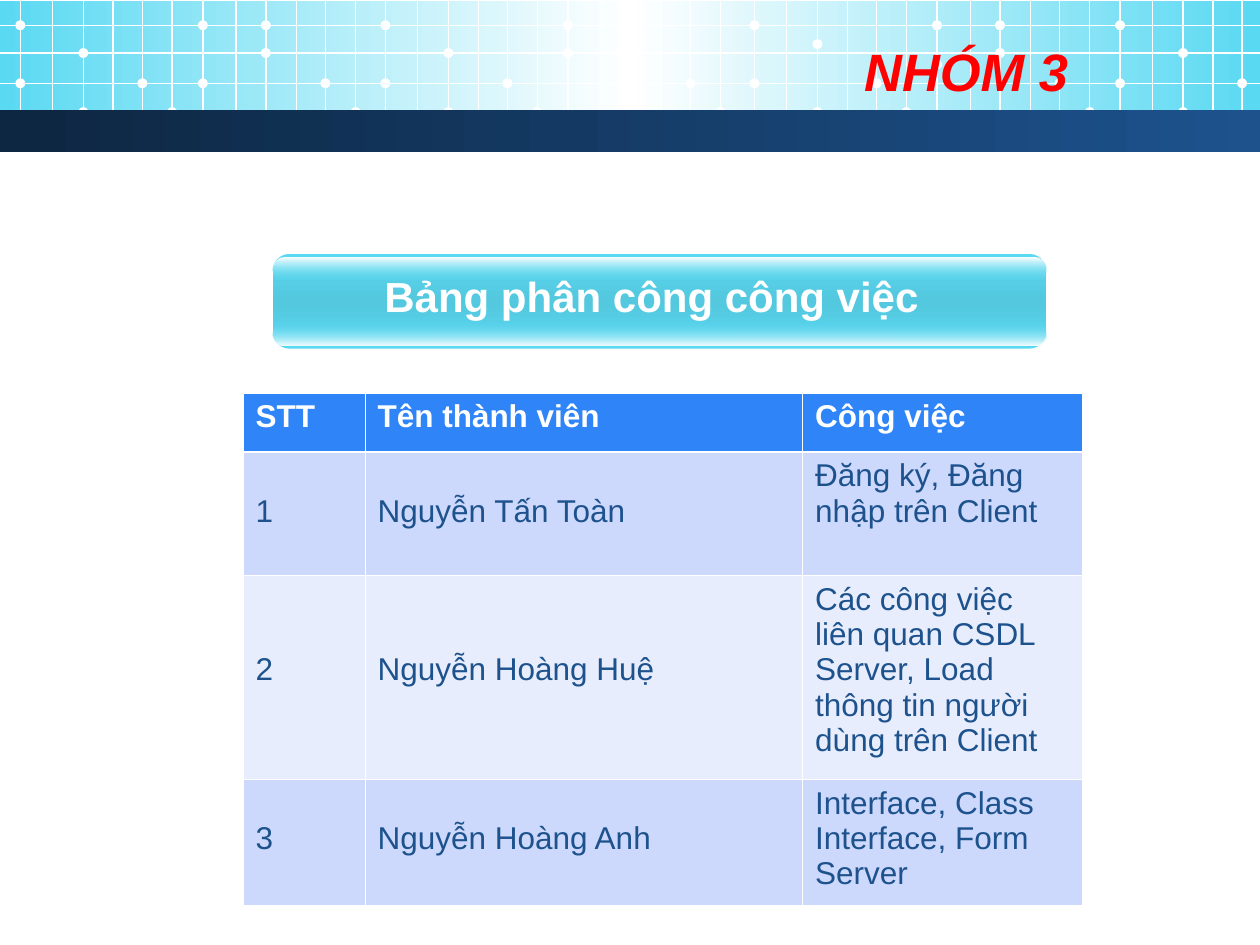
from lxml import etree
from pptx import Presentation
from pptx import util as u
from pptx.dml.color import RGBColor
from pptx.enum import shapes, text
from pptx.oxml.ns import qn

WIDTH, HEIGHT = 25.4, 19.05  # all lengths are in centimetres

WHITE, CYAN, TEAL = "FFFFFF", "5AD9F2", "53C8DF"
NAVY, BLUE, RED = "0D2641", "1D528D", "FF0000"
HEADER, BAND, PALE = "2F85F7", "CDD9FC", "E8EDFD"
ACROSS, DOWN = 0, 90  # gradient directions

MEMBERS = [
    ("STT", "Tên thành viên", "Công việc"),
    ("1", "Nguyễn Tấn Toàn", "Đăng ký, Đăng nhập trên Client"),
    ("2", "Nguyễn Hoàng Huệ", "Các công việc liên quan CSDL Server, "
     "Load thông tin người dùng trên Client"),
    ("3", "Nguyễn Hoàng Anh", "Interface, Class Interface, Form Server"),
]


def rgb(value):
    return RGBColor.from_string(value)


def add_color(parent, color, alpha=100):
    """Append an a:srgbClr, with alpha in percent."""
    clr = etree.SubElement(parent, qn("a:srgbClr"), val=color)
    if alpha < 100:
        etree.SubElement(clr, qn("a:alpha"), val=str(alpha * 1000))


class Deck:
    font = "Arial"
    title_size, banner_size, body_size = 30, 24, 18
    line_height = 0.71  # one line of body text
    cell_margin = 0.13
    thin, thick = 0.45, 1.47  # table borders, in points

    def __init__(self):
        self.prs = Presentation()
        self.prs.slide_width, self.prs.slide_height = u.Cm(WIDTH), u.Cm(HEIGHT)
        self.s = self.prs.slides.add_slide(self.prs.slide_layouts[5])

    def format(self, p, size, color, bold=True, italic=False):
        p.font.name, p.font.size = self.font, u.Pt(size)
        p.font.bold, p.font.italic = bold, italic
        p.font.color.rgb = rgb(color)

    def shape(self, kind, box):
        sp = self.s.shapes.add_shape(kind, *map(u.Cm, box))
        sp.shadow.inherit = False
        sp.line.fill.background()
        return sp

    def gradient(self, sp, stops, angle):
        """Fill sp; each stop is (percent, colour) or (percent, colour, alpha)."""
        sp.fill.gradient()
        sp.fill.gradient_angle = -angle % 360  # python-pptx counts anticlockwise
        gs_list = sp._element.spPr.find(".//" + qn("a:gsLst"))
        for gs in list(gs_list):
            gs_list.remove(gs)
        for percent, *color in stops:
            gs = etree.SubElement(gs_list, qn("a:gs"), pos=str(percent * 1000))
            add_color(gs, *color)

    def bar(self, box, stops):
        sp = self.shape(shapes.MSO_SHAPE.RECTANGLE, box)
        self.gradient(sp, stops, ACROSS)

    def pill(self, box, stops, radius):
        sp = self.shape(shapes.MSO_SHAPE.ROUNDED_RECTANGLE, box)
        sp.adjustments[0] = radius
        self.gradient(sp, stops, DOWN)

    def dot(self, x, y, size=0.2):
        """Add a white dot centred on x, y."""
        box = (x - size / 2, y - size / 2, size, size)
        sp = self.shape(shapes.MSO_SHAPE.OVAL, box)
        sp.fill.solid()
        sp.fill.fore_color.rgb = rgb(WHITE)

    def line(self, x1, y1, x2, y2):
        c = self.s.shapes.add_connector(
            shapes.MSO_CONNECTOR.STRAIGHT, *map(u.Cm, (x1, y1, x2, y2)))
        c.line.color.rgb, c.line.width = rgb(WHITE), u.Pt(0.75)
        etree.SubElement(c._element.spPr, qn("a:effectLst"))

    def title(self, words, box):
        sp = self.s.shapes.title
        sp.left, sp.top, sp.width, sp.height = map(u.Cm, box)
        tf = sp.text_frame
        tf.text = words
        tf.auto_size = text.MSO_AUTO_SIZE.NONE
        tf.vertical_anchor = text.MSO_ANCHOR.MIDDLE
        p = tf.paragraphs[0]
        p.alignment = text.PP_ALIGN.RIGHT
        self.format(p, self.title_size, RED, italic=True)
        # The placeholder starts at the back, behind the header band.
        sp._element.getparent().append(sp._element)

    def label(self, words, box):
        tf = self.s.shapes.add_textbox(*map(u.Cm, box)).text_frame
        tf.word_wrap = True
        tf.text = words
        self.format(tf.paragraphs[0], self.banner_size, WHITE)

    def borders(self, cell, top, bottom):
        """Draw white borders; top and bottom are widths in points."""
        tc_pr = cell._tc.get_or_add_tcPr()
        widths = {"lnL": self.thin, "lnR": self.thin, "lnT": top, "lnB": bottom}
        for i, (tag, width) in enumerate(widths.items()):
            ln = etree.Element(qn("a:" + tag), w=str(u.Pt(width)))
            add_color(etree.SubElement(ln, qn("a:solidFill")), WHITE)
            tc_pr.insert(i, ln)  # borders must come before the fill

    def cell(self, cell, words, row, lines_down):
        is_header = row == 0
        fill = HEADER if is_header else BAND if row % 2 else PALE
        cell.text = words
        cell.margin_top = u.Cm(self.cell_margin + lines_down * self.line_height)
        self.format(cell.text_frame.paragraphs[0], self.body_size,
                    WHITE if is_header else BLUE, bold=is_header)
        cell.fill.solid()
        cell.fill.fore_color.rgb = rgb(fill)
        self.borders(cell, top=self.thick if row == 1 else self.thin,
                     bottom=self.thick if is_header else self.thin)

    def table(self, rows, left, top, widths, heights, lines_down):
        """Add a table; lines_down lowers all but the last cell of each row."""
        t = self.s.shapes.add_table(
            len(rows), len(widths), u.Cm(left), u.Cm(top),
            u.Cm(sum(widths)), u.Cm(sum(heights))).table
        t.first_row = t.horz_banding = False
        for column, width in zip(t.columns, widths):
            column.width = u.Cm(width)
        last = len(widths) - 1
        for i, (row, height) in enumerate(zip(rows, heights)):
            t.rows[i].height = u.Cm(height)
            for j, words in enumerate(row):
                self.cell(t.cell(i, j), words, i,
                          lines_down[i] if j < last else 0)


def draw_grid(d):
    """Repeat one section of lines and dots until the right edge."""
    line_ys = top, upper, lower, bottom = 0.51, 1.07, 1.68, 2.26
    line_xs = [0, 0.65, 1.27, 1.87, 2.46, 3.06, 3.68, 4.35, 4.95, 5.56, 6.15, 6.76]
    # Left edge of each section, then the two dot heights that vary.
    sections = [(0.41, upper, lower), (7.77, upper, upper),
                (15.21, 0.89, 1.3), (22.58, upper, lower)]
    for left, third_y, sixth_y in sections:
        xs = [left + x for x in line_xs if left + x < WIDTH]
        dots_by_line = {0: (top, lower), 2: (third_y, bottom), 4: (lower,),
                        5: (bottom,), 6: (top, sixth_y), 8: (top, upper),
                        10: (lower,), 11: (bottom,)}
        for i, x in enumerate(xs):
            d.line(x, 0, x, 2.79)
            for y in dots_by_line.get(i, ()):
                d.dot(x, y)
    for y in line_ys:
        d.line(0, y, WIDTH, y)


def draw_header(d):
    d.bar((0, 0.03, WIDTH, 2.59), [(0, CYAN), (50, WHITE), (100, CYAN)])
    draw_grid(d)
    # The dark bar covers the lower ends of the grid.
    d.bar((0, 2.22, WIDTH, 0.85), [(0, NAVY), (100, BLUE)])
    d.title("NHÓM 3", (1.27, 0.64, 20.52, 1.57))


def draw_banner(d):
    left, top, width, height = 5.5, 5.12, 15.59, 1.91
    gloss, inset = 0.46, 0.07
    d.pill((left, top, width, height),
           [(0, CYAN), (50, TEAL), (100, CYAN)], radius=0.175)
    d.pill((left, top + height - inset - gloss, width, gloss),
           [(0, CYAN, 0), (100, WHITE)], radius=0.5)
    d.pill((left, top + inset, width, gloss),
           [(0, WHITE), (100, CYAN, 0)], radius=0.5)
    d.label("Bảng phân công công việc", (7.5, 5.33, 12.5, 1.27))


def main():
    d = Deck()
    draw_header(d)
    d.table(MEMBERS, left=4.9, top=7.92, widths=(2.46, 8.82, 5.64),
            heights=(1.19, 2.49, 4.11, 2.54), lines_down=(0, 1, 2, 1))
    draw_banner(d)
    d.prs.save("out.pptx")


if __name__ == "__main__":
    main()
